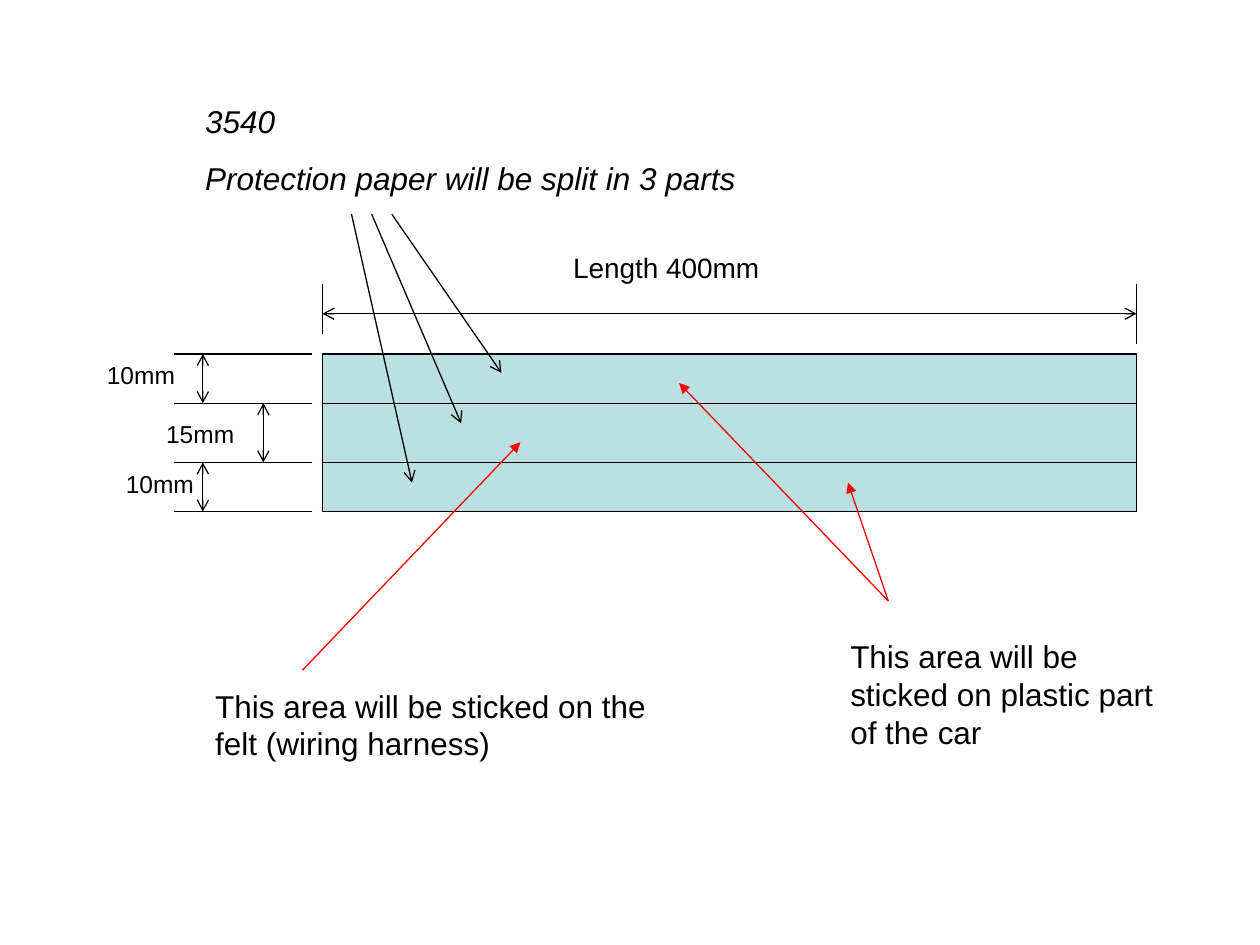
"""Build the slide showing how the protection paper of part 3540 is split."""
from dataclasses import dataclass

from lxml import etree
from pptx import Presentation
from pptx.dml.color import RGBColor
from pptx.enum.shapes import MSO_CONNECTOR, MSO_SHAPE
from pptx.enum.text import MSO_AUTO_SIZE
from pptx.oxml.ns import qn
from pptx.util import Inches, Pt

STRAIGHT = MSO_CONNECTOR.STRAIGHT
RECTANGLE = MSO_SHAPE.RECTANGLE
FIT_TEXT = MSO_AUTO_SIZE.SHAPE_TO_FIT_TEXT


@dataclass(frozen=True)
class Theme:
    font: str = "Arial"
    ink: RGBColor = RGBColor(0x00, 0x00, 0x00)
    accent: RGBColor = RGBColor(0xFF, 0x00, 0x00)
    paper: RGBColor = RGBColor(0xBB, 0xE0, 0xE3)
    line: float = 0.75
    note: int = 18
    length: int = 16
    width: int = 14


theme = Theme()
prs = Presentation()
prs.slide_width, prs.slide_height = Inches(10), Inches(7.5)
s = prs.slides.add_slide(prs.slide_layouts[6])


def add_line(x1, y1, x2, y2, color=theme.ink, head=None, tail=None):
    c = s.shapes.add_connector(STRAIGHT, Inches(x1), Inches(y1), Inches(x2), Inches(y2))
    c.line.color.rgb = color
    c.line.width = Pt(theme.line)
    ln = c.line._get_or_add_ln()
    for tag, kind in (("a:headEnd", head), ("a:tailEnd", tail)):
        if kind:
            etree.SubElement(ln, qn(tag), type=kind)
    etree.SubElement(c._element.spPr, qn("a:effectLst"))


def add_text(x, y, w, h, lines, size, italic=False):
    tf = s.shapes.add_textbox(Inches(x), Inches(y), Inches(w), Inches(h)).text_frame
    tf.word_wrap = True
    tf.auto_size = FIT_TEXT
    for i, line in enumerate(lines):
        p = tf.add_paragraph() if i else tf.paragraphs[0]
        p.space_before = Pt(size * 0.625)
        r = p.add_run()
        r.text = line
        r.font.name = theme.font
        r.font.size = Pt(size)
        r.font.italic = italic
        r.font.color.rgb = theme.ink


left, right = 2.56, 9.02
edges = [2.81, 3.2, 3.67, 4.06]
top, bottom = edges[0], edges[-1]

strip = s.shapes.add_shape(
    RECTANGLE, Inches(left), Inches(top), Inches(right - left), Inches(bottom - top))
strip.shadow.inherit = False
strip.fill.solid()
strip.fill.fore_color.rgb = theme.paper
strip.line.color.rgb = theme.ink
strip.line.width = Pt(theme.line)
for y in edges[1:-1]:
    add_line(left, y, right, y)

add_text(4.45, 1.94, 2.6, 0.37, ["Length 400mm"], theme.length)
for x, y in ((left, 2.65), (right, 2.73)):
    add_line(x, y, x, 2.25)
add_line(left, 2.49, right, 2.49, head="arrow", tail="arrow")

for y in edges:
    add_line(2.48, y, 1.38, y)
for x, y1, y2 in zip((1.61, 2.09, 1.61), edges, edges[1:]):
    add_line(x, y1, x, y2, head="arrow", tail="arrow")
for x, y, w, label in ((0.75, 2.81, 1.1, "10mm"),
                       (1.22, 3.28, 0.94, "15mm"),
                       (0.9, 3.67, 1.1, "10mm")):
    add_text(x, y, w, 0.34, [label], theme.width)

add_text(1.53, 0.76, 7.17, 0.86,
         ["3540", "Protection paper will be split in 3 parts"], theme.note, italic=True)
for x1, x2, y2 in ((3.11, 3.98, 2.96), (2.79, 3.27, 3.83), (2.95, 3.66, 3.36)):
    add_line(x1, 1.7, x2, y2, tail="arrow")

for x1, y1, x2, y2 in ((2.4, 5.32, 4.13, 3.51),
                       (7.05, 4.77, 5.39, 3.04),
                       (7.05, 4.77, 6.73, 3.83)):
    add_line(x1, y1, x2, y2, theme.accent, tail="triangle")
add_text(1.61, 5.4, 3.62, 0.7,
         ["This area will be sticked on the felt (wiring harness)"], theme.note)
add_text(6.65, 5.01, 2.83, 1,
         ["This area will be sticked on plastic part of the car"], theme.note)

prs.save("out.pptx")
